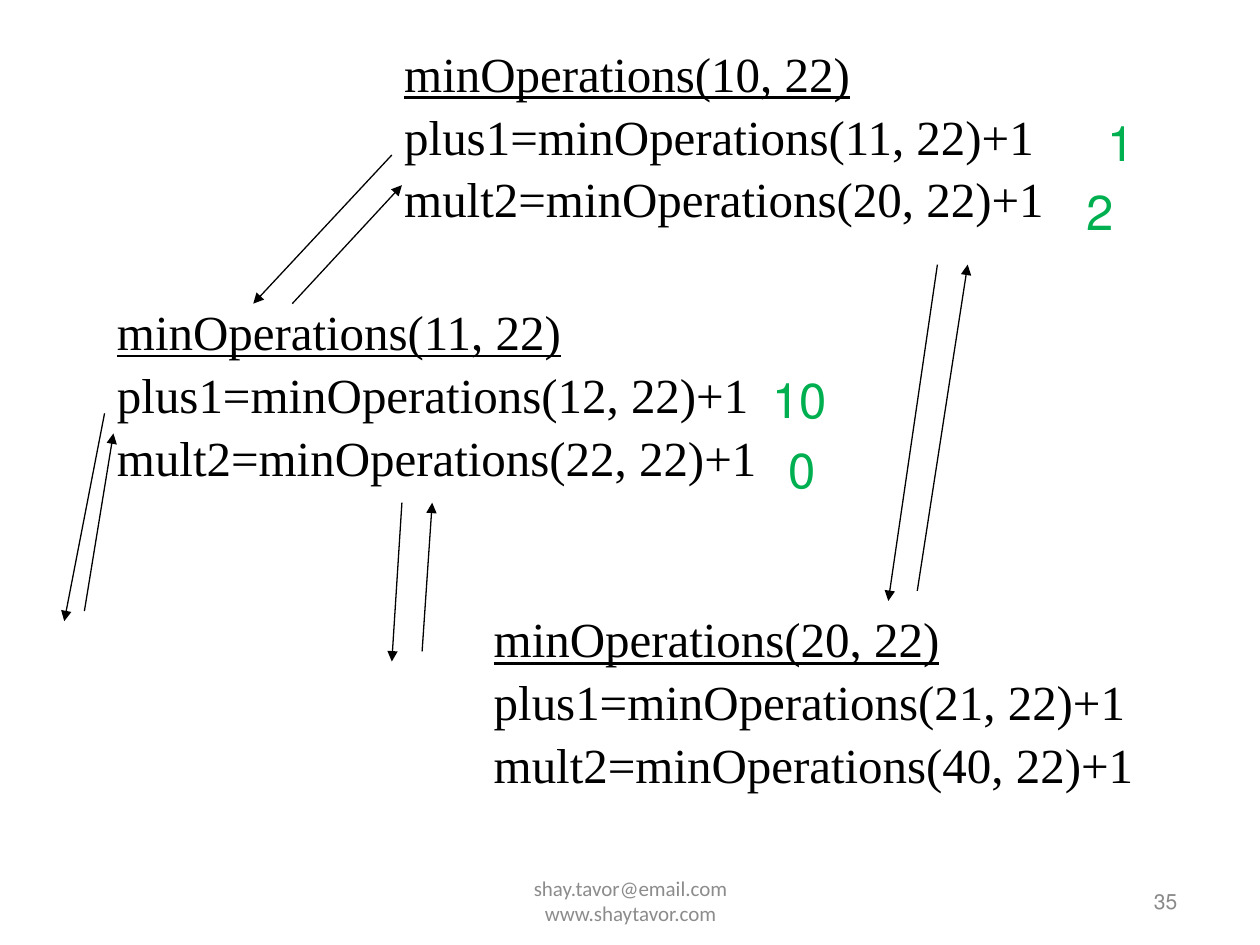
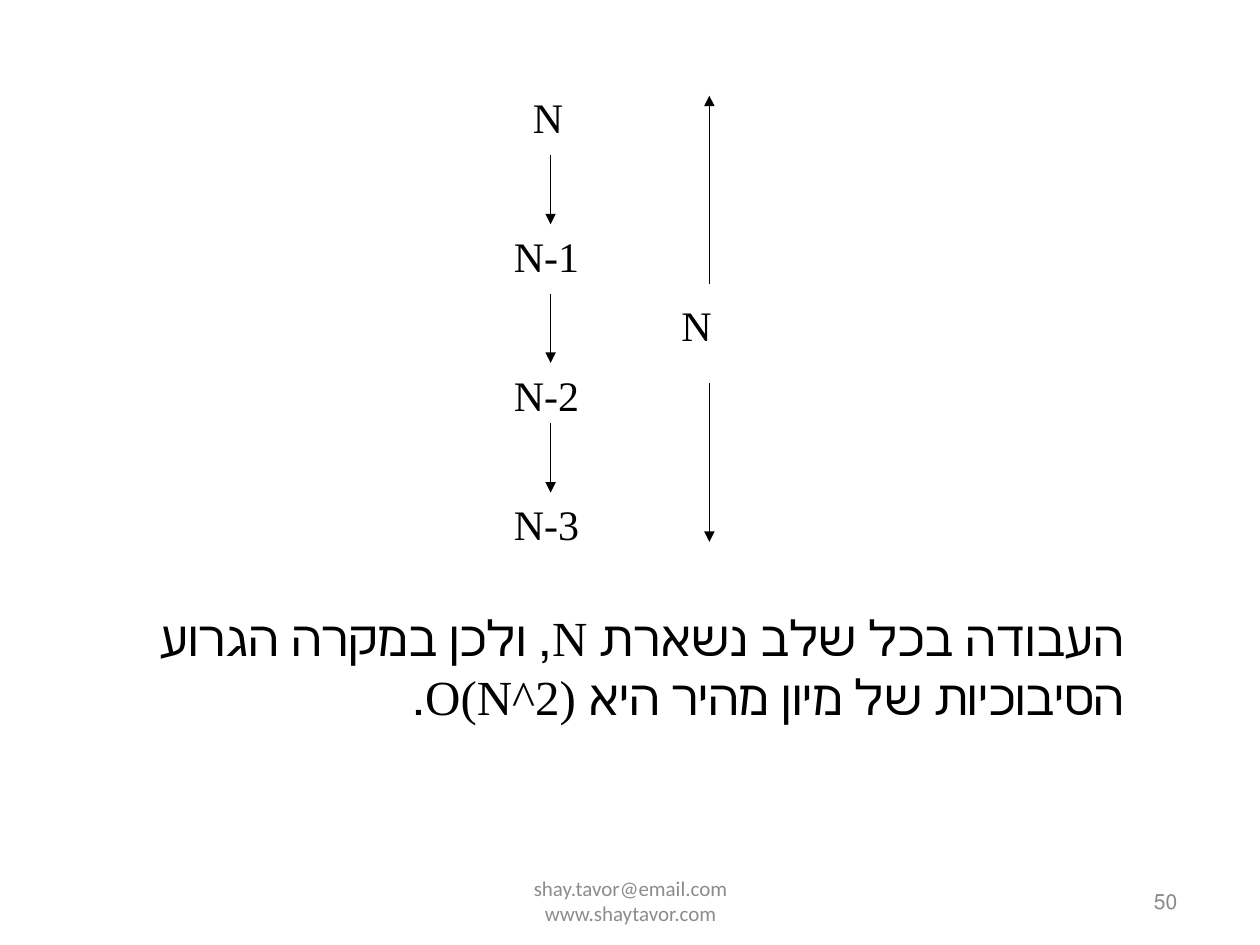
from lxml.etree import SubElement
from pptx import Presentation
from pptx.dml.color import RGBColor
from pptx.enum.shapes import MSO_CONNECTOR as Connector
from pptx.enum.text import MSO_ANCHOR as Anchor, MSO_AUTO_SIZE as AutoSize, PP_ALIGN as Align
from pptx.oxml.ns import qn
from pptx.util import Inches, Pt

COLUMNS, ROWS = 100, 75
BLACK, GREEN, FOOTER_GREY, NUMBER_GREY = "000000", "00B050", "8C8C8C", "898989"
SERIF, SANS = "Times New Roman", "Calibri"


def color(hex_code):
    return RGBColor.from_string(hex_code)


def write(paragraph, text, font=SERIF, size=28, ink=BLACK, underline=False,
          align=Align.LEFT, rtl=False, line_spacing=None, gap_percent=0):
    run = paragraph.add_run()
    run.text = text
    run.font.name, run.font.size = font, Pt(size)
    run.font.color.rgb = color(ink)
    run.font.underline = underline
    paragraph.alignment = align
    if line_spacing:
        paragraph.line_spacing = line_spacing
    properties = paragraph._p.get_or_add_pPr()
    if rtl:
        properties.set("rtl", "1")
    if gap_percent:
        paragraph.space_before = Pt(0)
        spacing = properties.find(qn("a:spcBef"))
        spacing.remove(spacing[0])
        SubElement(spacing, qn("a:spcPct")).set("val", str(gap_percent * 1000))


class Deck:
    """Holds the shared style and draws on the current slide in grid units."""

    def __init__(self):
        self.show = Presentation()
        self.show.slide_width, self.show.slide_height = Inches(10), Inches(7.5)
        self.slide = None

    def x(self, column):
        return round(self.show.slide_width * column / COLUMNS)

    def y(self, row):
        return round(self.show.slide_height * row / ROWS)

    def new_slide(self, number):
        self.slide = self.show.slides.add_slide(self.show.slide_layouts[6])
        self.slide.background.fill.solid()
        self.slide.background.fill.fore_color.rgb = color("FFFFFF")
        contact = self.frame(34.2, 69.5, 31.7, 4, fixed=True)
        write(contact.paragraphs[0], "shay.tavor@email.com", font=SANS, size=12,
              ink=FOOTER_GREY, align=Align.CENTER, rtl=True)
        write(contact.add_paragraph(), "www.shaytavor.com", font=SANS, size=12,
              ink=FOOTER_GREY, align=Align.CENTER, rtl=True)
        page = self.frame(90.6, 69.5, 4.4, 4, fixed=True)
        write(page.paragraphs[0], str(number), font=SANS, size=12,
              ink=NUMBER_GREY, rtl=True)

    def frame(self, column, row, width, height, fixed=False):
        frame = self.slide.shapes.add_textbox(
            self.x(column), self.y(row), self.x(width), self.y(height)).text_frame
        frame.word_wrap = True
        frame.auto_size = AutoSize.NONE if fixed else AutoSize.SHAPE_TO_FIT_TEXT
        frame.vertical_anchor = Anchor.MIDDLE if fixed else Anchor.TOP
        return frame

    def label(self, text, column, row, width, height, **style):
        frame = self.frame(column, row, width, height)
        write(frame.paragraphs[0], text, gap_percent=50, **style)

    def result(self, text, column, row, width):
        self.label(text, column, row, width, 5.7, ink=GREEN,
                   align=Align.RIGHT, rtl=True)

    def call(self, value, column, row, width, target=22):
        frame = self.frame(column, row, width, 15.1)
        style = dict(line_spacing=0.65, gap_percent=50)
        write(frame.paragraphs[0], f"minOperations({value}, {target})",
              underline=True, **style)
        for branch, argument in (("plus1", value + 1), ("mult2", value * 2)):
            write(frame.add_paragraph(),
                  f"{branch}=minOperations({argument}, {target})+1", **style)

    def arrow(self, start_column, start_row, end_column, end_row):
        arrow = self.slide.shapes.add_connector(
            Connector.STRAIGHT, self.x(start_column), self.y(start_row),
            self.x(end_column), self.y(end_row))
        arrow.line.color.rgb = color(BLACK)
        arrow.line.width = Pt(0.75)
        SubElement(arrow.line._get_or_add_ln(), qn("a:tailEnd")).set("type", "triangle")
        SubElement(arrow._element.spPr, qn("a:effectLst"))


def build_call_tree(deck):
    deck.new_slide(35)
    for value, column, row, width in ((10, 31.1, 4.4, 57.5), (11, 8.3, 24.9, 55.1),
                                      (20, 38.2, 49.3, 55.1)):
        deck.call(value, column, row, width)
    for text, column, row, width in (("1", 83.9, 8.4, 7.1), ("2", 83.9, 13.9, 5.5),
                                     ("10", 58.7, 28.8, 7.9), ("0", 60.2, 34.4, 5.5)):
        deck.result(text, column, row, width)
    descents = ((31.1, 12.3, 20.1, 24.1), (8.3, 32.8, 5.1, 49.3),
                (31.9, 39.9, 31.1, 52.5), (74.4, 21, 70.5, 47.7))
    returns = ((23.2, 24.1, 31.9, 14.7), (6.7, 48.5, 9, 34.4),
               (33.5, 51.7, 34.3, 39.9), (72.8, 46.9, 76.8, 21))
    for ends in descents + returns:
        deck.arrow(*ends)


def build_worst_case(deck):
    deck.new_slide(50)
    stem, depth_axis, step_length = 43.7, 56.3, 5.5
    deck.label("N", 41.3, 6.8, 7.9, 5, size=24)
    for step, row in enumerate((17.8, 28.8, 39.1), start=1):
        deck.arrow(stem, row - step_length, stem, row)
        deck.label(f"N-{step}", 39.8, row, 7.9, 5, size=24)
    deck.arrow(depth_axis, 22.5, depth_axis, 7.6)
    deck.arrow(depth_axis, 30.4, depth_axis, 43)
    deck.label("N", 53.1, 23.3, 7.1, 5, size=24)
    deck.label("העבודה בכל שלב נשארת N, ולכן במקרה הגרוע "
               "הסיבוכיות של מיון מהיר היא O(N^2).",
               5.9, 47.7, 84.3, 10.3, align=Align.RIGHT, rtl=True)


deck = Deck()
build_call_tree(deck)
build_worst_case(deck)
deck.show.save("out.pptx")
